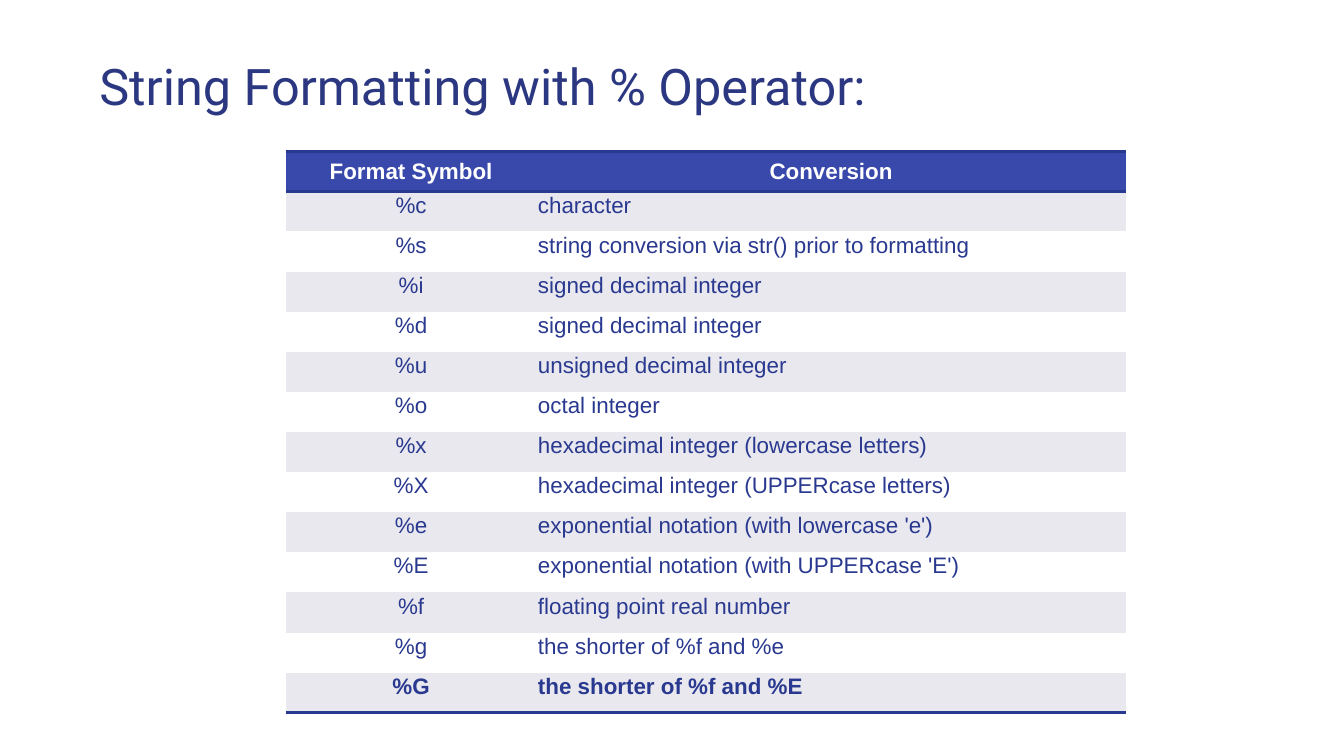
from lxml import etree
from pptx import Presentation
from pptx.dml.color import RGBColor
from pptx.enum import text
from pptx.oxml import ns
from pptx.util import Pt

WHITE = RGBColor(0xFF, 0xFF, 0xFF)
TITLE_BLUE = RGBColor(0x2B, 0x37, 0x80)
INK = RGBColor(0x2A, 0x39, 0x90)
HEADER_BLUE = RGBColor(0x39, 0x49, 0xAB)
BAND = RGBColor(0xE8, 0xE8, 0xEE)
PLAIN_TABLE_STYLE = "{2D5ABB26-0587-4C30-8999-92F81FD0307C}"

CONVERSIONS = [
    ("Format Symbol", "Conversion"),
    ("%c", "character"),
    ("%s", "string conversion via str() prior to formatting"),
    ("%i", "signed decimal integer"),
    ("%d", "signed decimal integer"),
    ("%u", "unsigned decimal integer"),
    ("%o", "octal integer"),
    ("%x", "hexadecimal integer (lowercase letters)"),
    ("%X", "hexadecimal integer (UPPERcase letters)"),
    ("%e", "exponential notation (with lowercase 'e')"),
    ("%E", "exponential notation (with UPPERcase 'E')"),
    ("%f", "floating point real number"),
    ("%g", "the shorter of %f and %e"),
    ("%G", "the shorter of %f and %E"),
]


def write(frame, wording, font="Arial", size=12, color=INK, bold=False,
          align=text.PP_ALIGN.LEFT):
    paragraph = frame.paragraphs[0]
    paragraph.alignment = align
    run = paragraph.add_run()
    run.text = wording
    run.font.name = font
    run.font.size = Pt(size)
    run.font.bold = bold
    run.font.color.rgb = color


class SlideBuilder:
    rule_width = 2

    def __init__(self, slide):
        self.slide = slide

    def title(self, wording, left, top, width, height):
        heading = self.slide.shapes.title
        heading.left, heading.top = Pt(left), Pt(top)
        heading.width, heading.height = Pt(width), Pt(height)
        frame = heading.text_frame
        frame.word_wrap = True
        frame.auto_size = text.MSO_AUTO_SIZE.NONE
        frame.vertical_anchor = text.MSO_ANCHOR.TOP
        frame.margin_left = frame.margin_right = Pt(7.2)
        frame.margin_top = frame.margin_bottom = Pt(7.2)
        write(frame, wording, font="Roboto", size=27, color=TITLE_BLUE)

    def rule(self, cell, side):
        properties = cell._tc.get_or_add_tcPr()
        line = etree.SubElement(properties, ns.qn(f"a:ln{side}"), w=str(Pt(self.rule_width)))
        fill = etree.SubElement(line, ns.qn("a:solidFill"))
        etree.SubElement(fill, ns.qn("a:srgbClr"), val=str(INK))

    def cell(self, cell, wording, fill, rules="", anchor=text.MSO_ANCHOR.TOP, **style):
        for side in rules:
            self.rule(cell, side)
        cell.fill.solid()
        cell.fill.fore_color.rgb = fill
        cell.margin_left = cell.margin_right = cell.margin_top = Pt(0.72)
        cell.margin_bottom = Pt(0)
        cell.vertical_anchor = anchor
        write(cell.text_frame, wording, **style)

    def table(self, rows, left, top, widths, row_height):
        frame = self.slide.shapes.add_table(
            len(rows), len(widths), Pt(left), Pt(top),
            Pt(sum(widths)), Pt(row_height * len(rows)))
        grid = frame.table
        frame.element.find(".//" + ns.qn("a:tableStyleId")).text = PLAIN_TABLE_STYLE
        for column, width in zip(grid.columns, widths):
            column.width = Pt(width)
        last = len(rows) - 1
        for r, row in enumerate(rows):
            grid.rows[r].height = Pt(row_height)
            header = r == 0
            fill = HEADER_BLUE if header else BAND if r % 2 else WHITE
            for c, wording in enumerate(row):
                centred = header or c == 0
                self.cell(
                    grid.cell(r, c), wording, fill,
                    rules="TB" if header else "B" if r == last else "",
                    anchor=text.MSO_ANCHOR.MIDDLE if header else text.MSO_ANCHOR.TOP,
                    color=WHITE if header else INK,
                    bold=r in (0, last),
                    align=text.PP_ALIGN.CENTER if centred else text.PP_ALIGN.LEFT)


def main():
    deck = Presentation()
    deck.slide_width, deck.slide_height = Pt(720), Pt(405)
    builder = SlideBuilder(deck.slides.add_slide(deck.slide_layouts[5]))
    builder.title("String Formatting with % Operator:", 46, 22.5, 482, 67.5)
    builder.table(CONVERSIONS, left=153, top=81, widths=(134.5, 315.5), row_height=21.5)
    deck.save("out.pptx")


if __name__ == "__main__":
    main()
